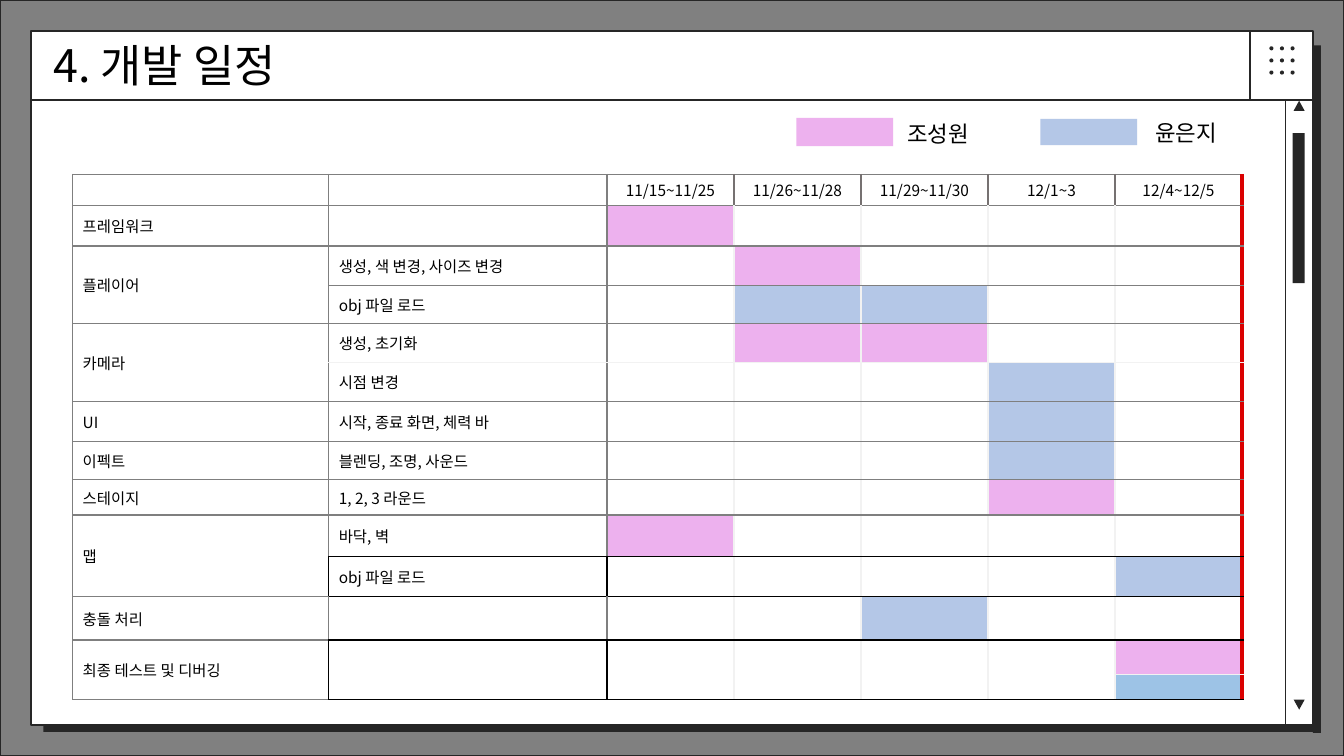
from lxml import etree
from pptx import Presentation
from pptx.dml.color import RGBColor
from pptx.enum.shapes import MSO_CONNECTOR, MSO_SHAPE
from pptx.enum.text import MSO_ANCHOR, MSO_AUTO_SIZE, PP_ALIGN
from pptx.oxml.ns import qn
from pptx.util import Inches, Pt

RECT, OVAL = MSO_SHAPE.RECTANGLE, MSO_SHAPE.OVAL
FRAME, TRIANGLE = MSO_SHAPE.FRAME, MSO_SHAPE.ISOSCELES_TRIANGLE
STRAIGHT = MSO_CONNECTOR.STRAIGHT
MIDDLE, CENTER, LEFT = MSO_ANCHOR.MIDDLE, PP_ALIGN.CENTER, PP_ALIGN.LEFT
FIT = MSO_AUTO_SIZE.SHAPE_TO_FIT_TEXT

THEME = {
    "font": "Noto Sans CJK KR",
    "title": 32, "legend": 16, "cell": 11, "empty": 6,
    "text": "000000", "white": "FFFFFF", "window": "808080", "ink": "262626",
    "pink": "EDB1EE", "blue": "B4C7E7", "sky": "9DC3E6",
    "grey": "7F7F7F", "header": "767171", "light": "F2F2F2",
    "black": "000000", "deadline": "DA0000",
}

# Content
TITLE = "4. 개발 일정"
PERIODS = ["11/15~11/25", "11/26~11/28", "11/29~11/30", "12/1~3", "12/4~12/5"]
# (area, task, row height, {period index: owner colour})
TASKS = [
    ("프레임워크", "", 0.40, {0: "pink"}),
    ("플레이어", "생성, 색 변경, 사이즈 변경", 0.39, {1: "pink"}),
    ("", "obj 파일 로드", 0.38, {1: "blue", 2: "blue"}),
    ("카메라", "생성, 초기화", 0.39, {1: "pink", 2: "pink"}),
    ("", "시점 변경", 0.38, {3: "blue"}),
    ("UI", "시작, 종료 화면, 체력 바", 0.40, {3: "blue"}),
    ("이펙트", "블렌딩, 조명, 사운드", 0.38, {3: "blue"}),
    ("스테이지", "1, 2, 3 라운드", 0.35, {3: "pink"}),
    ("맵", "바닥, 벽", 0.41, {0: "pink"}),
    ("", "obj 파일 로드", 0.40, {4: "blue"}),
    ("충돌 처리", "", 0.43, {2: "blue"}),
    ("최종 테스트 및 디버깅", "", 0.34, {4: "pink"}),
    ("", "", 0.25, {4: "sky"}),
]
HEADER_HEIGHT = 0.31
COLUMN_WIDTHS = [2.54, 2.76] + [1.26] * len(PERIODS)
# Top row of each two-row merge, by column
MERGES = [(2, 0), (4, 0), (9, 0)] + [(12, column) for column in range(6)]
# Horizontal rules that differ from grey, by the row above them
RULES = {4: "light", 9: "black", 10: "black", 11: "black", 12: "light", 13: "black"}
BLACK_SIDED_ROWS = (10, 12, 13)
# (name, colour, swatch box, label box)
LEGEND = [
    ("조성원", "pink", (7.9, 1.17, 0.96, 0.28), (8.9, 1.14, 0.88, 0.37)),
    ("윤은지", "blue", (10.32, 1.18, 0.96, 0.26), (11.36, 1.13, 0.82, 0.37)),
]
WINDOW_LINES = [(0.31, 0.99, 13.02, 0.99), (12.75, 1, 12.75, 7.23), (12.4, 0.3, 12.4, 0.99)]
SHADOW_BARS = [(0.43, 7.19, 12.67, 0.07), (13.02, 0.45, 0.08, 6.82)]
SCROLL_THUMB = (12.82, 1.32, 0.12, 1.49)
SCROLL_ARROWS = [(1, 0), (6.94, 180)]

prs = Presentation()
prs.slide_width, prs.slide_height = Inches(13.33), Inches(7.5)
slide = prs.slides.add_slide(prs.slide_layouts[6])


def colour(name):
    return RGBColor.from_string(THEME[name])


def add_block(kind, box, fill):
    block = slide.shapes.add_shape(kind, *map(Inches, box))
    block.shadow.inherit = False
    block.fill.solid()
    block.fill.fore_color.rgb = colour(fill)
    block.line.fill.background()
    return block


def write(paragraph, text, size, align=LEFT):
    paragraph.text = text
    paragraph.alignment = align
    font = paragraph.font
    font.size = Pt(size)
    font.color.rgb = colour("text")
    font.name = THEME["font"]
    etree.SubElement(font._rPr, qn("a:ea"), typeface=THEME["font"])


def add_label(box, text, size):
    frame = slide.shapes.add_textbox(*map(Inches, box)).text_frame
    frame.word_wrap = False
    frame.auto_size = FIT
    write(frame.paragraphs[0], text, size)


def set_borders(cell, sides):
    properties = cell._tc.get_or_add_tcPr()
    for position, (tag, name) in enumerate(zip(("lnL", "lnR", "lnT", "lnB"), sides)):
        width = Pt(3 if name == "deadline" else 1)
        line = etree.Element(qn("a:" + tag), w=str(int(width)))
        solid = etree.SubElement(line, qn("a:solidFill"))
        etree.SubElement(solid, qn("a:srgbClr"), val=THEME[name])
        properties.insert(position, line)


def rule_below(row, column):
    return "grey" if column == 0 else RULES.get(row, "grey")


def side_rule(row, edge):
    if edge == len(COLUMN_WIDTHS):
        return "deadline"
    if edge == 0:
        return "grey"
    if edge <= 2:
        return "black" if row in BLACK_SIDED_ROWS else "grey"
    return "header" if row == 0 else "light"


# Window frame, its shadow and title bar
window = add_block(FRAME, (0, 0, 13.33, 7.5), "window")
window.adjustments[0] = 0.041
window.line.color.rgb = colour("ink")
window.line.width = Pt(1.5)
for bar in SHADOW_BARS:
    add_block(RECT, bar, "ink")
for ends in WINDOW_LINES:
    divider = slide.shapes.add_connector(STRAIGHT, *map(Inches, ends))
    divider.line.color.rgb = colour("ink")
    divider.line.width = Pt(1.25)
    etree.SubElement(divider._element.spPr, qn("a:effectLst"))

# Menu dots and scroll bar
for index in range(9):
    dot_row, dot_column = divmod(index, 3)
    add_block(OVAL, (12.59 + 0.105 * dot_column, 0.46 + 0.12 * dot_row, 0.04, 0.04), "ink")
for top, turn in SCROLL_ARROWS:
    add_block(TRIANGLE, (12.83, top, 0.11, 0.1), "ink").rotation = turn
add_block(RECT, SCROLL_THUMB, "ink")

add_label((0.43, 0.33, 2.66, 0.64), TITLE, THEME["title"])

# Schedule table
heights = [HEADER_HEIGHT] + [task[2] for task in TASKS]
schedule = slide.shapes.add_table(
    len(heights), len(COLUMN_WIDTHS), Inches(0.72), Inches(1.73),
    Inches(sum(COLUMN_WIDTHS)), Inches(sum(heights))).table
schedule.first_row = schedule.horz_banding = False
for column, width in enumerate(COLUMN_WIDTHS):
    schedule.columns[column].width = Inches(width)
for row, height in enumerate(heights):
    schedule.rows[row].height = Inches(height)
    area, task, _, bars = TASKS[row - 1] if row else ("", "", 0, {})
    texts = [area, task] + ([""] * len(PERIODS) if row else PERIODS)
    for column, text in enumerate(texts):
        cell = schedule.cell(row, column)
        cell.vertical_anchor = MIDDLE
        cell.margin_top = cell.margin_bottom = Inches(0.04)
        cell.fill.solid()
        cell.fill.fore_color.rgb = colour(bars.get(column - 2, "white"))
        paragraph = cell.text_frame.paragraphs[0]
        if text:
            write(paragraph, text, THEME["cell"], LEFT if row else CENTER)
        else:
            etree.SubElement(paragraph._p, qn("a:endParaRPr"), sz=str(THEME["empty"] * 100))
        last_row = row + 1 if (row, column) in MERGES else row
        set_borders(cell, (side_rule(row, column), side_rule(row, column + 1),
                           rule_below(row - 1, column), rule_below(last_row, column)))
for row, column in MERGES:
    schedule.cell(row, column).merge(schedule.cell(row + 1, column))

# Legend
for name, owner_colour, swatch_box, label_box in LEGEND:
    add_block(RECT, swatch_box, owner_colour)
    add_label(label_box, name, THEME["legend"])

prs.save("out.pptx")
